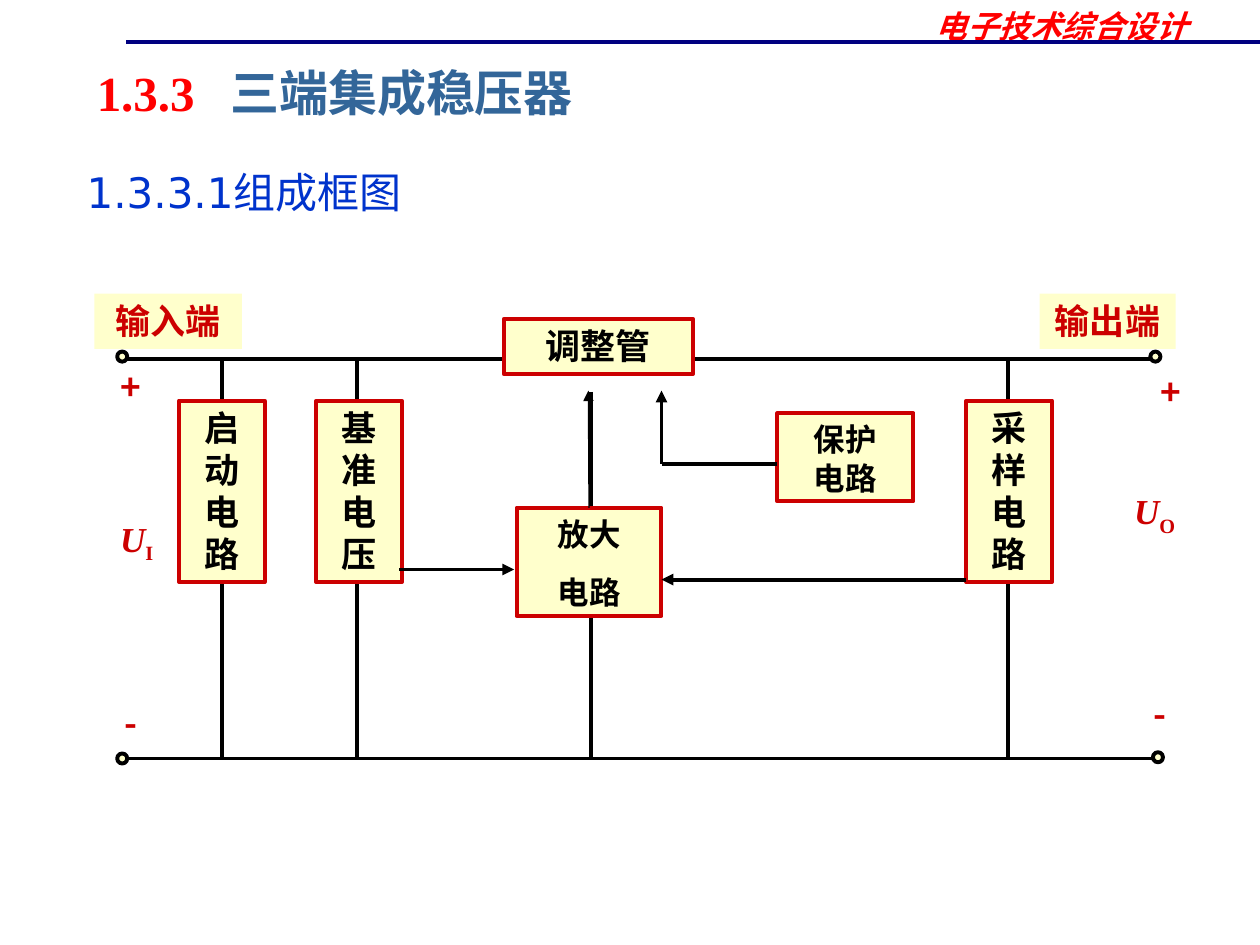
from lxml import etree
from pptx import Presentation
from pptx.dml.color import RGBColor
from pptx.enum.shapes import MSO_CONNECTOR, MSO_SHAPE
from pptx.enum.text import MSO_ANCHOR, PP_ALIGN
from pptx.oxml.ns import qn
from pptx.util import Inches, Pt

CJK, SANS, SERIF = "Noto Sans CJK SC", "DejaVu Sans", "Times New Roman"
BLACK, RED, CREAM = "000000", "CC0000", "FFFFCC"


def color(hex_text):
    return RGBColor.from_string(hex_text)


def inches(values):
    return [Inches(value) for value in values]


def format_run(run, size, font, hex_text, bold=True, italic=False):
    run.font.size, run.font.name = Pt(size), font
    run.font.bold, run.font.italic = bold, italic
    run.font.color.rgb = color(hex_text)
    latin = run.font._element.find(qn("a:latin"))
    east_asian = etree.Element(qn("a:ea"), typeface=CJK)
    latin.addnext(east_asian)


def write(shape, text, size, font, hex_text, align=PP_ALIGN.CENTER,
          line_factor=1.2, gap=0, side_inset=0.1, **style):
    """Fill a shape with text, one paragraph per line, with fixed line height."""
    frame = shape.text_frame
    frame.word_wrap = True
    frame.vertical_anchor = MSO_ANCHOR.TOP
    frame.margin_left = frame.margin_right = Inches(side_inset)
    frame.text = text
    for index, paragraph in enumerate(frame.paragraphs):
        paragraph.alignment = align
        paragraph.line_spacing = Pt(round(size * line_factor))
        if index:
            paragraph.space_before = Pt(gap)
        for run in paragraph.runs:
            format_run(run, size, font, hex_text, **style)
    return frame.paragraphs[0]


def add_text(slide, box, *args, **style):
    return write(slide.shapes.add_textbox(*inches(box)), *args, **style)


def add_figure(slide, kind, box, line=None):
    shape = slide.shapes.add_shape(kind, *inches(box))
    shape.shadow.inherit = False
    shape.fill.solid()
    shape.fill.fore_color.rgb = color(CREAM)
    if line:
        shape.line.color.rgb = color(line)
        shape.line.width = Pt(2.25)
    else:
        shape.line.fill.background()
    return shape


def add_line(slide, start, end, width=2.25, line=BLACK, arrow=False):
    connector = slide.shapes.add_connector(
        MSO_CONNECTOR.STRAIGHT, *inches(start + end))
    connector.line.color.rgb = color(line)
    connector.line.width = Pt(width)
    if arrow:
        etree.SubElement(connector.line._get_or_add_ln(), qn("a:tailEnd"),
                         type="triangle")
    etree.SubElement(connector._element.spPr, qn("a:effectLst"))
    return connector


def add_header(slide, left, top, width):
    add_text(slide, (left + width - 2.67, top, 2.42, 0.4), "电子技术综合设计",
             18, SANS, "FF0000", align=PP_ALIGN.LEFT, italic=True)
    add_line(slide, (left, top + 0.33), (left + width, top + 0.33),
             line="000080")


def add_headings(slide, left, top):
    add_text(slide, (left, top + 0.87, 4.66, 0.47), "1.3.3.1组成框图",
             24, SANS, "0033CC", align=PP_ALIGN.LEFT, line_factor=1.08,
             bold=False)
    title = add_text(slide, (left + 0.08, top, 7, 0.57), "1.3.3",
                     28, SERIF, "FF0000", align=PP_ALIGN.LEFT)
    tabs = etree.SubElement(title._p.get_or_add_pPr(), qn("a:tabLst"))
    etree.SubElement(tabs, qn("a:tab"), pos=str(Inches(1.06)), algn="l")
    name = title.add_run()
    name.text = "\t三端集成稳压器"
    format_run(name, 28, SERIF, "336699")


def add_block_diagram(slide, left, top):
    def at(x, y, *size):
        return (left + x, top + y) + size

    # Rails and branches
    upper, lower = 0.52, 3.69
    for y in (upper, lower):
        add_line(slide, at(0.33, y), at(8.5, y))
    for x, start in ((1.09, upper), (2.16, upper), (7.33, upper), (4.02, 0.78)):
        add_line(slide, at(x, start), at(x, lower))

    # Circuit blocks
    def add_block(box, text, size=20, **style):
        block = add_figure(slide, MSO_SHAPE.RECTANGLE, at(*box), RED)
        write(block, text, size, CJK, BLACK, **style)
        return block

    add_block((3.33, 0.2, 1.5, 0.44), "调整管")
    for x, text in ((0.75, "启动电路"), (1.84, "基准电压"), (7, "采样电路")):
        add_block((x, 0.85, 0.68, 1.44), text)
    amplifier = add_block((3.43, 1.7, 1.15, 0.86), "放大\n电路", 18, gap=11.2)
    add_block((5.5, 0.95, 1.08, 0.7), "保护\n电路", 18, side_inset=0.05)

    for x, width, text in ((0.08, 1.17, "输入端"), (7.58, 1.08, "输出端")):
        label = add_figure(slide, MSO_SHAPE.RECTANGLE, at(x, 0, width, 0.44))
        write(label, text, 20, CJK, RED)

    # Signal paths
    add_line(slide, at(2.5, 2.19), at(3.41, 2.19), arrow=True)
    drive = add_line(slide, at(4, 1.7), at(4, 0.77), width=0.75, arrow=True)
    drive.begin_connect(amplifier, 0)
    add_line(slide, at(5.5, 1.35), at(4.58, 1.35))
    add_line(slide, at(4.58, 1.35), at(4.58, 0.77), arrow=True)
    add_line(slide, at(7, 2.27), at(4.58, 2.27), arrow=True)

    # Terminals and voltages
    for x, y in ((8.46, 0.46), (8.48, 3.64), (0.26, 3.65), (0.26, 0.46)):
        add_figure(slide, MSO_SHAPE.OVAL, at(x, y, 0.08, 0.08), BLACK)
    for x, y, width, sign in ((0.08, 0.52, 0.58, "+"), (8.33, 0.56, 0.58, "+"),
                              (0.16, 3.19, 0.42, "-"), (8.33, 3.12, 0.42, "-")):
        add_text(slide, at(x, y, width, 0.44), sign, 20, CJK, RED)
    for x, y, index in ((8.08, 1.55, "O"), (0, 1.77, "I")):
        voltage = add_text(slide, at(x, y, 0.83, 0.48), "U", 20, SERIF, RED,
                           italic=True)
        subscript = voltage.add_run()
        subscript.text = index
        format_run(subscript, 20, SERIF, RED)
        subscript.font._element.set("baseline", "-25000")


def main():
    presentation = Presentation()
    presentation.slide_width, presentation.slide_height = inches((10, 7.5))
    slide = presentation.slides.add_slide(presentation.slide_layouts[6])
    add_header(slide, 1, 0, 9)
    add_headings(slide, 0.59, 0.44)
    add_block_diagram(slide, 0.67, 2.33)
    presentation.save("out.pptx")


if __name__ == "__main__":
    main()
